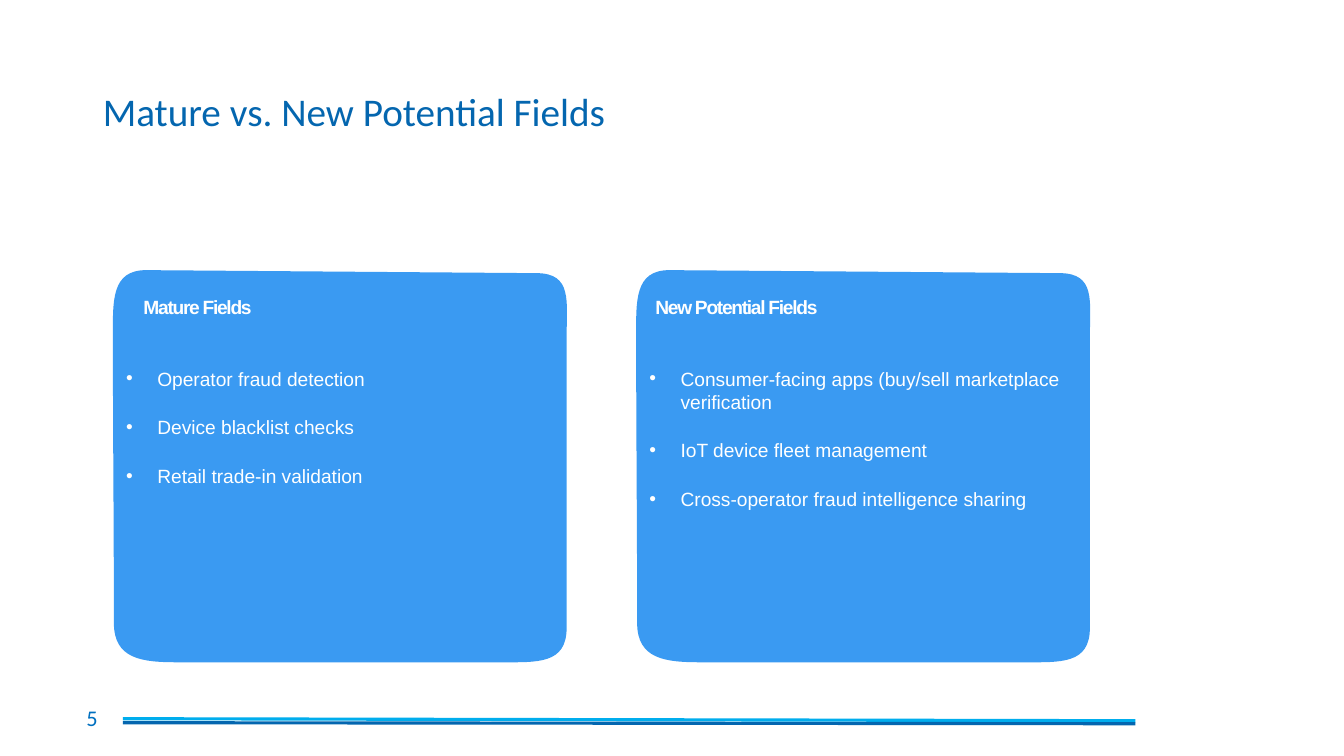
from lxml.etree import SubElement
from pptx import Presentation
from pptx.dml.color import RGBColor
from pptx.enum.shapes import MSO_CONNECTOR as Connector
from pptx.enum.text import MSO_ANCHOR as Anchor, MSO_AUTO_SIZE as AutoSize, PP_ALIGN as Align
from pptx.oxml.ns import qn
from pptx.util import Inches, Pt

BLUE, LIGHT_BLUE, CARD_BLUE, PAGE_BLUE, WHITE = "0466AF", "00ADED", "3A9AF2", "0070C0", "FFFFFF"
CARD_TOP = 2.68
CARD_START = (0, 67)
CARD_SIDES = [
    [(0, 31), (-2, 0), (33, 0)],
    [(420, 3)],
    [(456, 3), (450, 31), (450, 67)],
    [(450, 355)],
    [(450, 391), (421, 389), (385, 389)],
    [(64, 389)],
    [(29, 389), (1, 386), (1, 350)],
    [(1, 256), (0, 161), (0, 67)],
]
CARDS = [
    (1.12, 1.43, "Mature Fields",
     ["Operator fraud detection", "Device blacklist checks", "Retail trade-in validation"]),
    (6.31, 1.74, "New Potential Fields",
     ["Consumer-facing apps (buy/sell marketplace verification", "IoT device fleet management",
      "Cross-operator fraud intelligence sharing"]),
]


def color(hex_value):
    """Turn a hex string into a colour."""
    return RGBColor.from_string(hex_value)


def set_values(target, values):
    """Set each attribute named in a dict."""
    for name, value in values.items():
        setattr(target, name, value)


def format_frame(frame, anchor, margins):
    """Set wrapping, anchor and margins of a text frame."""
    left, top, right, bottom = [Inches(margin) for margin in margins]
    set_values(frame, {"word_wrap": True, "auto_size": AutoSize.NONE, "vertical_anchor": anchor,
                       "margin_left": left, "margin_top": top,
                       "margin_right": right, "margin_bottom": bottom})


def write(paragraph, text, size, font_name, font_color, **paragraph_values):
    """Write one formatted run into a paragraph."""
    set_values(paragraph, paragraph_values)
    run = paragraph.add_run()
    run.text = text
    set_values(run.font, {"size": Pt(size), "name": font_name})
    run.font.color.rgb = color(font_color)
    return run


def add_frame(slide, box, anchor=Anchor.TOP, margins=(0, 0.01, 0, 0)):
    """Add a text box and return its text frame."""
    frame = slide.shapes.add_textbox(*[Inches(length) for length in box]).text_frame
    format_frame(frame, anchor, margins)
    return frame


def add_bullet(paragraph):
    """Give a paragraph a white bullet with a hanging indent."""
    properties = paragraph._p.get_or_add_pPr()
    properties.set("marL", str(Inches(0.32)))
    properties.set("indent", str(Inches(-0.31)))
    bullet_color = SubElement(properties, qn("a:buClr"))
    SubElement(bullet_color, qn("a:srgbClr")).set("val", WHITE)
    SubElement(properties, qn("a:buFont")).set("typeface", "Arial")
    SubElement(properties, qn("a:buChar")).set("char", "•")


def bend_side(segment, controls):
    """Turn a straight outline segment into a cubic curve."""
    segment.tag = qn("a:cubicBezTo")
    for point in list(segment):
        segment.remove(point)
    for x, y in controls:
        point = SubElement(segment, qn("a:pt"))
        point.set("x", str(x))
        point.set("y", str(y))


def add_card_outline(slide, left):
    """Draw the uneven rounded card."""
    builder = slide.shapes.build_freeform(*CARD_START, scale=Inches(0.01))
    builder.add_line_segments([side[-1] for side in CARD_SIDES], close=True)
    shape = builder.convert_to_shape(Inches(left), Inches(CARD_TOP))
    segments = list(shape._element.iter(qn("a:lnTo")))
    for segment, side in zip(segments, CARD_SIDES):
        if len(side) == 3:
            bend_side(segment, side)
    shape.shadow.inherit = False
    shape.fill.solid()
    shape.fill.fore_color.rgb = color(CARD_BLUE)
    shape.line.fill.background()


def add_card(slide, left, heading_width, heading, items):
    """Add a card with its heading and bullet list."""
    add_card_outline(slide, left)
    frame = add_frame(slide, (left + 0.12, 2.92, heading_width, 0.24))
    paragraph = frame.paragraphs[0]
    paragraph._p.get_or_add_pPr().set("marL", str(Inches(0.01)))
    run = write(paragraph, heading, 13.7, "Arial", WHITE, alignment=Align.CENTER)
    run.font.bold = True
    run.font._element.set("spc", "-90")
    frame = add_frame(slide, (left + 0.12, 3.63, 4.25, 1.94))
    for index, item in enumerate(items):
        paragraph = frame.add_paragraph() if index else frame.paragraphs[0]
        add_bullet(paragraph)
        paragraph.font.size = Pt(13.7)
        write(paragraph, item, 13.7, "Arial", WHITE, space_before=Pt(18.4 if index else 0))


def add_rule(slide, start_y, end_y, line_color):
    """Add one footer line."""
    rule = slide.shapes.add_connector(Connector.STRAIGHT, Inches(1.22), Inches(start_y),
                                      Inches(11.26), Inches(end_y))
    rule.line.width = Pt(2.25)
    rule.line.color.rgb = color(line_color)
    SubElement(rule._element.spPr, qn("a:effectLst"))


def add_title(slide, text):
    """Place and fill the title."""
    title = slide.shapes.title
    set_values(title, {"left": Inches(0.92), "top": Inches(0.4),
                       "width": Inches(11.5), "height": Inches(1.45)})
    format_frame(title.text_frame, Anchor.MIDDLE, (0.1, 0.05, 0.1, 0.05))
    write(title.text_frame.paragraphs[0], text, 28, "Calibri", BLUE,
          alignment=Align.LEFT, line_spacing=0.9)


def main():
    """Build the slide and save it."""
    presentation = Presentation()
    set_values(presentation, {"slide_width": Inches(13.33), "slide_height": Inches(7.5)})
    slide = presentation.slides.add_slide(presentation.slide_layouts[5])
    add_rule(slide, 7.13, 7.15, LIGHT_BLUE)
    add_rule(slide, 7.17, 7.18, BLUE)
    add_title(slide, "Mature vs. New Potential Fields")
    page_frame = add_frame(slide, (0.76, 6.92, 3, 0.4), Anchor.MIDDLE, (0.1, 0.05, 0.1, 0.05))
    write(page_frame.paragraphs[0], "5", 16, "Calibri", PAGE_BLUE)
    for card in CARDS:
        add_card(slide, *card)
    presentation.save("out.pptx")


if __name__ == "__main__":
    main()
